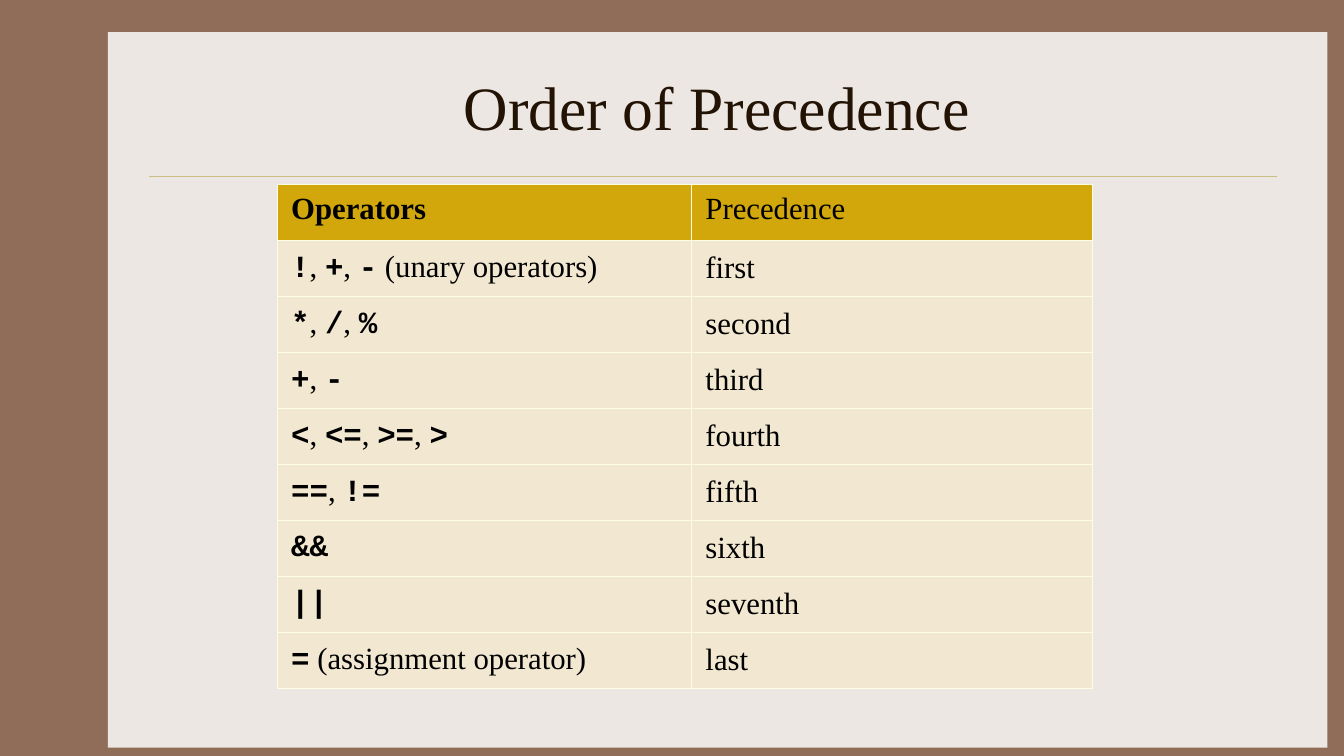
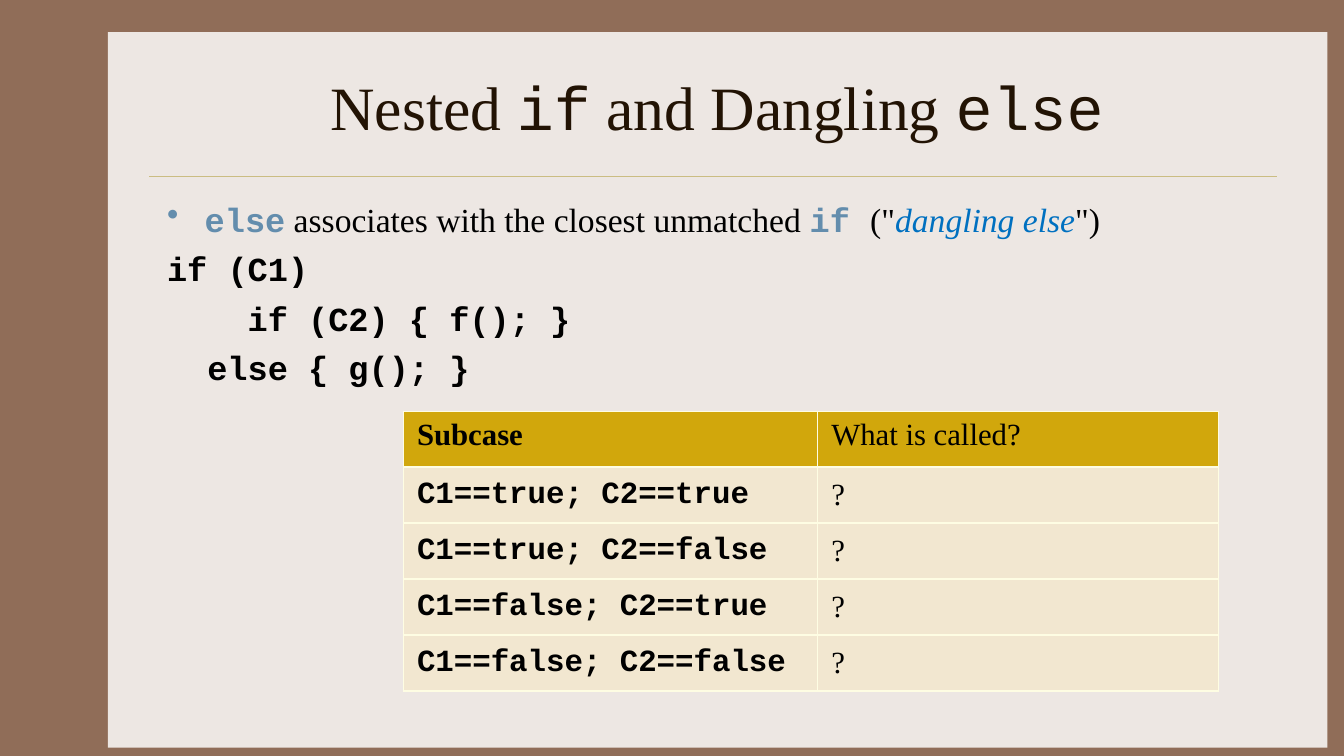
from dataclasses import dataclass

from lxml import etree
from pptx import Presentation
from pptx.dml.color import RGBColor
from pptx.enum import shapes, text
from pptx.oxml import ns
from pptx.util import Cm, Pt


@dataclass(frozen=True)
class Theme:
    frame: str = "906D58"
    panel: str = "EDE7E3"
    divider: str = "CBBD83"
    title: str = "221304"
    ink: str = "000000"
    keyword: str = "638DAD"
    term: str = "0070C0"
    header: str = "D1A70C"
    cell: str = "F2E7D0"
    border: str = "FEFDE3"
    prose: str = "Times New Roman"
    code: str = "Courier New"
    title_size: float = 44
    body_size: float = 24
    table_size: float = 22


THEME = Theme()

# Boxes are left, top, width, height in centimetres
PANEL = (2.72, 0.81, 30.73, 18.03)
TITLE = (3.96, 1.07, 28.22, 3.18)
DIVIDER = (3.76, 4.45, 28.42)
BODY = (3.96, 4.88, 28.22, 11.43)
COLUMNS = (10.44, 10.11)
ROW_HEIGHT = 1.41
CHAR_WIDTH = 0.508  # one code character at body size


def rgb(colour):
    return RGBColor.from_string(colour)


def lengths(box):
    return [Cm(value) for value in box]


def write(paragraph, content, size, colour=THEME.ink, code_colour=None,
          bold=False, code_bold=True, italic=False):
    """Add text to a paragraph; parts between backticks are set as code."""
    for position, part in enumerate(content.split("`")):
        if not part:
            continue
        is_code = position % 2 == 1
        run = paragraph.add_run()
        run.text = part
        run.font.name = THEME.code if is_code else THEME.prose
        run.font.size = Pt(size)
        run.font.bold = code_bold if is_code else bold
        run.font.italic = italic
        run.font.color.rgb = rgb(code_colour or colour if is_code else colour)


def add_text_frame(slide, box, anchor):
    frame = slide.shapes.add_textbox(*lengths(box)).text_frame
    frame.word_wrap = True
    frame.vertical_anchor = anchor
    return frame


def start_slide(deck, title):
    """Frame, panel, divider and title that every slide shares."""
    slide = deck.slides.add_slide(deck.slide_layouts[6])
    slide.background.fill.solid()
    slide.background.fill.fore_color.rgb = rgb(THEME.frame)

    panel = slide.shapes.add_shape(
        shapes.MSO_SHAPE.RECTANGLE, *lengths(PANEL))
    panel.shadow.inherit = False
    panel.fill.solid()
    panel.fill.fore_color.rgb = rgb(THEME.panel)
    panel.line.fill.background()

    left, top, width = lengths(DIVIDER)
    divider = slide.shapes.add_connector(
        shapes.MSO_CONNECTOR.STRAIGHT, left, top, left + width, top)
    divider.line.color.rgb = rgb(THEME.divider)
    divider.line.width = Pt(0.25)
    etree.SubElement(divider.element.spPr, ns.qn("a:effectLst"))

    heading = add_text_frame(
        slide, TITLE, text.MSO_ANCHOR.MIDDLE).paragraphs[0]
    heading.alignment = text.PP_ALIGN.CENTER
    write(heading, title, THEME.title_size, THEME.title, code_bold=False)
    return slide


def style_cell(cell, fill, anchor):
    cell.margin_left = cell.margin_right = Cm(0.35)
    cell.margin_top = cell.margin_bottom = Cm(0.18)
    cell.vertical_anchor = anchor
    # Borders come before the fill in the cell properties
    properties = cell._tc.get_or_add_tcPr()
    for side in ("lnL", "lnR", "lnT", "lnB"):
        line = etree.SubElement(
            properties, ns.qn("a:" + side), w=str(Pt(1)))
        solid = etree.SubElement(line, ns.qn("a:solidFill"))
        etree.SubElement(solid, ns.qn("a:srgbClr"), val=THEME.border)
    cell.fill.solid()
    cell.fill.fore_color.rgb = rgb(fill)


def add_grid(slide, left, top, header, rows):
    """Two-column table with a gold header row."""
    records = [header, *rows]
    box = (left, top, sum(COLUMNS), ROW_HEIGHT * len(records))
    table = slide.shapes.add_table(
        len(records), len(COLUMNS), *lengths(box)).table
    table.horz_banding = False
    for column, width in zip(table.columns, COLUMNS):
        column.width = Cm(width)
    for row_index, record in enumerate(records):
        is_header = row_index == 0
        table.rows[row_index].height = Cm(ROW_HEIGHT)
        for column_index, content in enumerate(record):
            cell = table.cell(row_index, column_index)
            style_cell(
                cell,
                THEME.header if is_header else THEME.cell,
                text.MSO_ANCHOR.TOP if is_header else text.MSO_ANCHOR.MIDDLE)
            write(cell.text_frame.paragraphs[0], content, THEME.table_size,
                  bold=is_header and column_index == 0)


def set_indent(paragraph, left, first=0):
    properties = paragraph._p.get_or_add_pPr()
    properties.set("marL", str(Cm(left)))
    properties.set("indent", str(Cm(first)))
    return properties


def add_dangling_else(slide, box):
    """Bulleted rule followed by the code example."""
    frame = add_text_frame(slide, box, text.MSO_ANCHOR.TOP)
    rule = frame.paragraphs[0]
    rule.space_before = Pt(6.5)
    bullet = etree.SubElement(
        set_indent(rule, 0.95, -0.95), ns.qn("a:buChar"))
    bullet.set("char", "•")
    size = THEME.body_size
    write(rule, '`else` associates with the closest unmatched `if `("', size,
          code_colour=THEME.keyword)
    write(rule, "dangling else", size, THEME.term, italic=True)
    write(rule, '")', size)

    # Code lines with their depth in characters
    for depth, code in ((0, "if (C1)"), (4, "if (C2) { f(); }"),
                        (2, "else { g(); }")):
        line = frame.add_paragraph()
        line.space_before = Pt(6.5)
        set_indent(line, depth * CHAR_WIDTH)
        write(line, f"`{code}`", size)


def build_precedence(deck):
    slide = start_slide(deck, "Order of Precedence")
    add_grid(slide, 6.99, 4.65, ("Operators", "Precedence"), (
        ("`!`, `+`, `-` (unary operators)", "first"),
        ("`*`, `/`, `%`", "second"),
        ("`+`, `-`", "third"),
        ("`<`, `<=`, `>=`, `>`", "fourth"),
        ("`==`, `!=`", "fifth"),
        ("`&&`", "sixth"),
        ("`||`", "seventh"),
        ("`=` (assignment operator)", "last"),
    ))


def build_nested_if(deck):
    slide = start_slide(deck, "Nested `if` and Dangling `else`")
    add_dangling_else(slide, BODY)
    subcases = [(f"`C1=={outer}; C2=={inner}`", "?")
                for outer in ("true", "false") for inner in ("true", "false")]
    add_grid(slide, 10.16, 10.36, ("Subcase", "What is called?"), subcases)


deck = Presentation()
deck.slide_width, deck.slide_height = Cm(33.87), Cm(19.05)
build_precedence(deck)
build_nested_if(deck)
deck.save("out.pptx")
